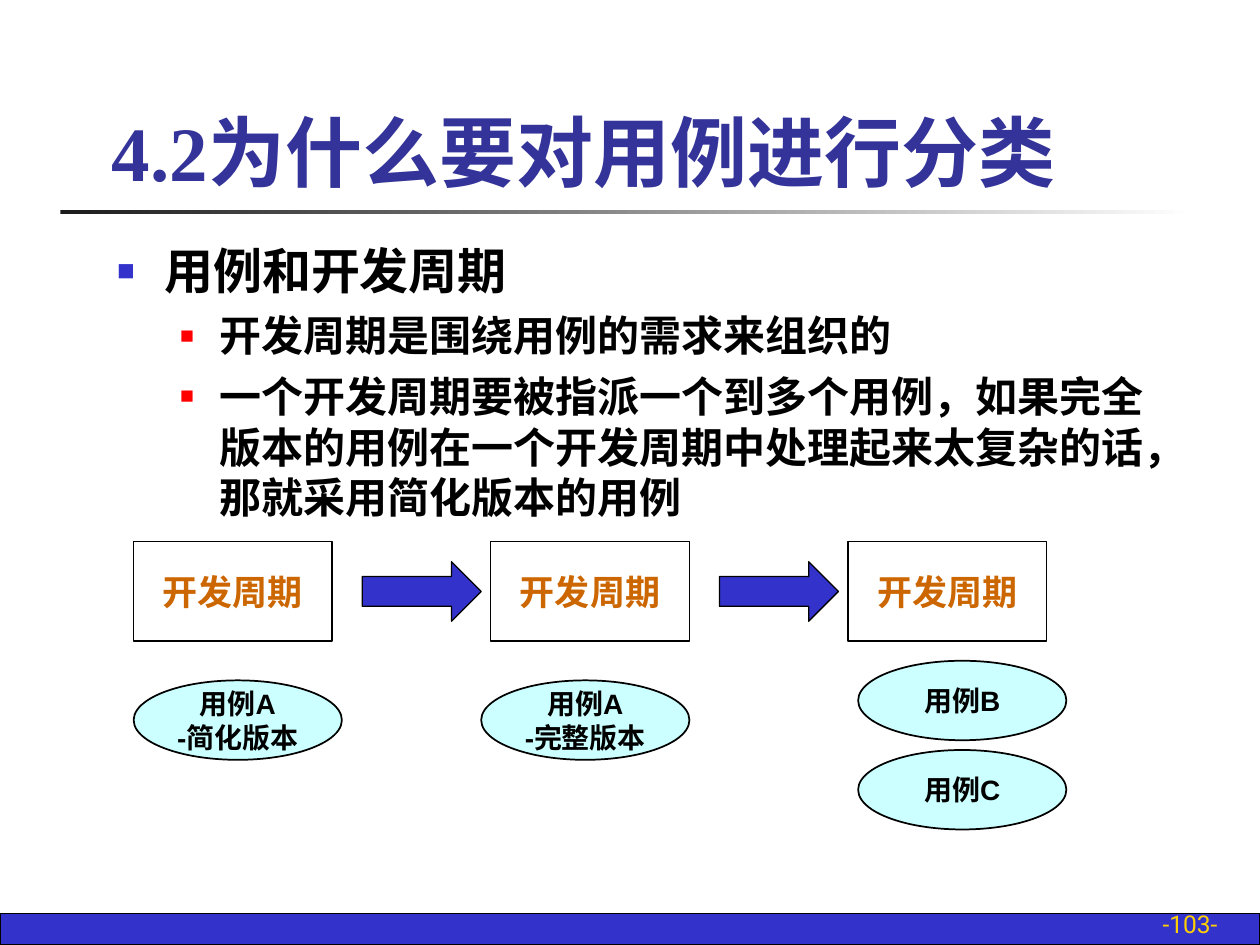
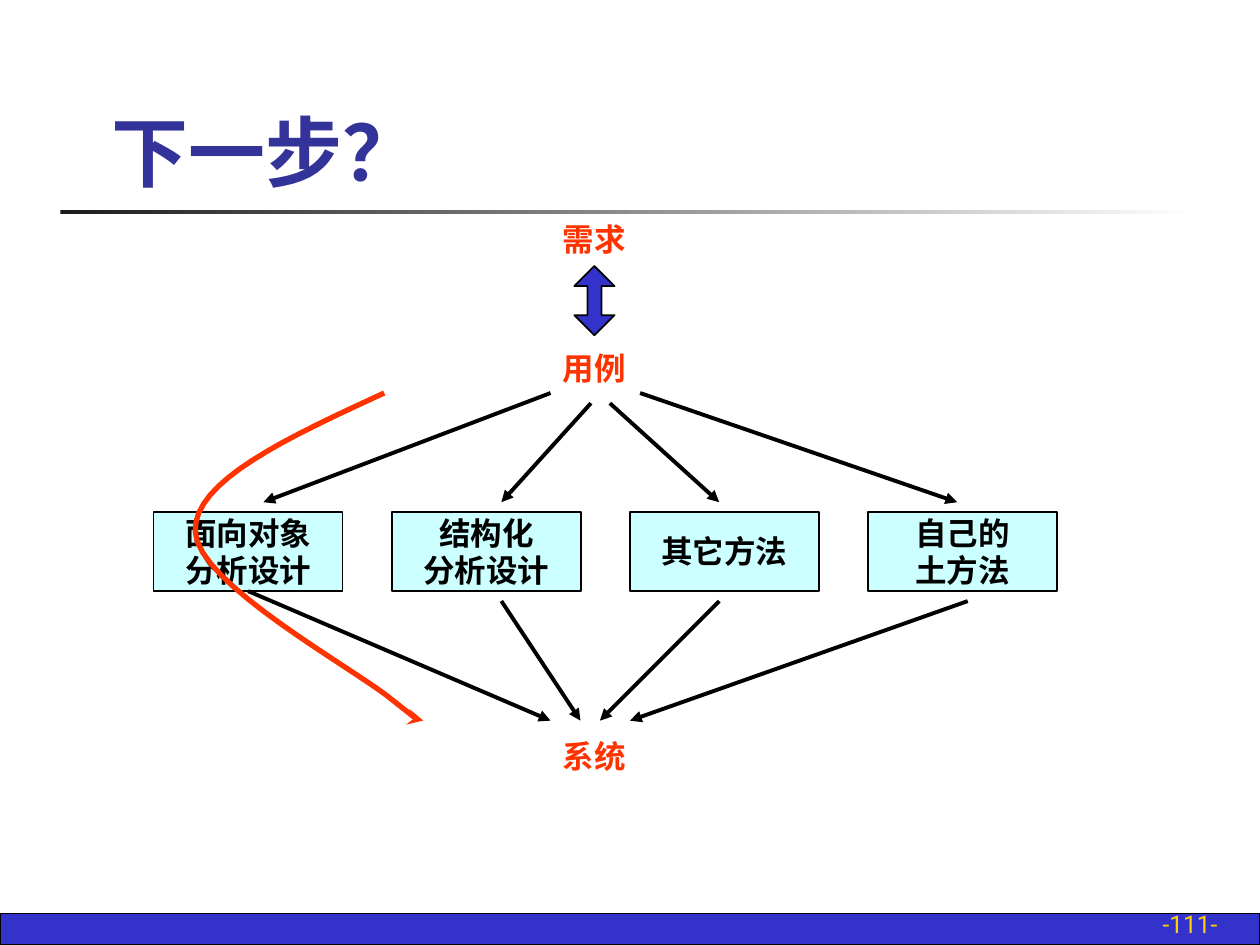
from dataclasses import dataclass

from lxml.etree import SubElement
from pptx import Presentation
from pptx.dml.color import RGBColor
from pptx.enum.lang import MSO_LANGUAGE_ID
from pptx.enum.shapes import MSO_CONNECTOR, MSO_SHAPE
from pptx.enum.text import MSO_ANCHOR, PP_ALIGN
from pptx.oxml.ns import qn
from pptx.util import Pt


@dataclass(frozen=True)
class Theme:
    blue: str = "3333CC"
    title: str = "333399"
    number: str = "FFCF01"
    black: str = "000000"
    white: str = "FFFFFF"
    charcoal: str = "1C1C1C"
    red: str = "FF0000"
    cycle: str = "CC6600"
    pale: str = "CCFFFF"
    accent: str = "FF3300"
    title_size: int = 44
    topic_size: int = 28
    point_size: int = 24
    cycle_size: int = 20
    label_size: int = 18
    case_size: int = 16
    number_size: int = 14


theme = Theme()


def style(name, size, color, bold=True):
    return {"name": name, "size": Pt(size), "bold": bold, "color": color}


def write(shape, lines, look, **frame_format):
    """Write lines into a shape; frame_format holds frame attributes and align."""
    frame = shape.text_frame
    align = frame_format.pop("align", PP_ALIGN.LEFT)
    for key, value in {"word_wrap": True, **frame_format}.items():
        setattr(frame, key, value)
    for index, line in enumerate(lines):
        para = frame.paragraphs[0] if index == 0 else frame.add_paragraph()
        para.alignment = align
        span = para.add_run()
        span.text = line
        span.font.language_id = MSO_LANGUAGE_ID.SIMPLIFIED_CHINESE
        for key, value in look.items():
            if key == "color":
                span.font.color.rgb = RGBColor.from_string(value)
            else:
                setattr(span.font, key, value)


def draw(page, kind, place, fill, width=0.75):
    """Add a preset shape with a black outline."""
    shape = page.shapes.add_shape(kind, *map(Pt, place))
    shape.shadow.inherit = False
    shape.fill.solid()
    shape.fill.fore_color.rgb = RGBColor.from_string(fill)
    shape.line.color.rgb = RGBColor.from_string(theme.black)
    shape.line.width = Pt(width)
    return shape


# Text styles
title_style = style("Times New Roman", theme.title_size, theme.title)
number_style = style("Roboto", theme.number_size, theme.number, False)
topic_style = style("Roboto", theme.topic_size, theme.black)
cycle_style = style("Arial", theme.cycle_size, theme.cycle)
case_style = style("Arial", theme.case_size, theme.black)
method_style = style("Arial", theme.label_size, theme.black)
stage_style = style("Arial", theme.label_size, theme.accent)
centred = {"align": PP_ALIGN.CENTER, "vertical_anchor": MSO_ANCHOR.MIDDLE,
           "word_wrap": False}

deck = Presentation()
deck.slide_width, deck.slide_height = Pt(720), Pt(540)

# Shared frame: footer band, fading rule, page number, title
pages = []
for title, number in [("4.2为什么要对用例进行分类", "-103-"), ("下一步？", "-111-")]:
    page = deck.slides.add_slide(deck.slide_layouts[6])
    pages.append(page)
    draw(page, MSO_SHAPE.RECTANGLE, (0, 522, 720, 18), theme.blue)

    rule = draw(page, MSO_SHAPE.RECTANGLE, (34.5, 120, 648, 2.2), theme.white)
    rule.line.fill.background()
    rule.fill.gradient()
    rule.fill.gradient_angle = 0
    for stop, color in zip(rule.fill.gradient_stops, (theme.charcoal, theme.white)):
        stop.color.rgb = RGBColor.from_string(color)

    box = page.shapes.add_textbox(Pt(553), Pt(516.2), Pt(149.8), Pt(23.8))
    write(box, [number], number_style, align=PP_ALIGN.RIGHT,
          vertical_anchor=MSO_ANCHOR.BOTTOM)
    box = page.shapes.add_textbox(Pt(56.9), Pt(25.9), Pt(613.4), Pt(90))
    write(box, [title], title_style, vertical_anchor=MSO_ANCHOR.BOTTOM)

cycles_page, methods_page = pages

# Slide 1: bulleted text
box = cycles_page.shapes.add_textbox(Pt(59.8), Pt(133.9), Pt(612), Pt(170))
write(box, [
    "用例和开发周期",
    "开发周期是围绕用例的需求来组织的",
    "一个开发周期要被指派一个到多个用例，如果完全版本的用例在一个开发周期中处理起来太复杂的话，那就采用简化版本的用例",
], topic_style)
for index, para in enumerate(box.text_frame.paragraphs):
    if index == 0:
        margin, indent, color, percent = 27, -27, theme.blue, 60
    else:
        margin, indent, color, percent = 58.5, -22.5, theme.red, 55
        para.level = 1
        para.runs[0].font.size = Pt(theme.point_size)
    properties = para._p.get_or_add_pPr()
    properties.set("marL", str(Pt(margin)))
    properties.set("indent", str(Pt(indent)))
    bullet_color = SubElement(properties, qn("a:buClr"))
    SubElement(bullet_color, qn("a:srgbClr"), val=color)
    SubElement(properties, qn("a:buSzPct"), val=str(percent * 1000))
    SubElement(properties, qn("a:buFont"), typeface="Arial")
    SubElement(properties, qn("a:buChar"), char="■")
    if index:
        para.space_before = Pt(6)

# Slide 1: three development cycles with arrows between them
cycle_step = 204.1
for index in range(3):
    offset = index * cycle_step
    cycle = draw(cycles_page, MSO_SHAPE.RECTANGLE,
                 (76.4 + offset, 309.6, 113.4, 56.7), theme.white)
    write(cycle, ["开发周期"], cycle_style, **centred)
    if index < 2:
        draw(cycles_page, MSO_SHAPE.RIGHT_ARROW,
             (207 + offset, 321, 68, 34), theme.blue)

# Slide 1: use cases handled in each cycle
for left, top, lines in [
    (76.4, 388.8, ["用例A", "-简化版本"]),
    (275, 388.8, ["用例A", "-完整版本"]),
    (490.4, 377.6, ["用例B"]),
    (490.4, 428.6, ["用例C"]),
]:
    case = draw(cycles_page, MSO_SHAPE.OVAL, (left, top, 119, 45.4), theme.pale, 1)
    write(case, lines, case_style, **centred)

# Slide 2: stages from requirements to system
for stage, top, width in [("需求", 122.4, 62), ("用例", 195.8, 62), ("系统", 417.6, 57)]:
    box = methods_page.shapes.add_textbox(Pt(314.6), Pt(top), Pt(width), Pt(28.8))
    write(box, [stage], stage_style)
exchange = draw(methods_page, MSO_SHAPE.UP_DOWN_ARROW, (328.2, 152, 23, 39.6),
                theme.blue, 1)
exchange.adjustments[1] = 0.348

# Slide 2: four methods
methods = []
for index, lines in enumerate([
    ["面向对象", "分析设计"], ["结构化", "分析设计"], ["其它方法"], ["自己的", "土方法"],
]):
    method = draw(methods_page, MSO_SHAPE.RECTANGLE,
                  (87.8 + index * 136.1, 292.4, 108, 45.4), theme.pale, 1)
    write(method, lines, method_style, **centred)
    methods.append(method)

# Slide 2: arrows from use cases to methods, then from methods to system
arrows = []
for start_x, start_y, end_x, end_y in [
    (314.6, 224.6, 150.5, 287),
    (337.7, 230.4, 286.5, 287),
    (348.5, 230.4, 411, 287),
    (365.8, 224.6, 547, 287),
    (141.8, 337.8, 314.6, 411.8),
    (286.5, 343.5, 331.7, 411.8),
    (411, 343.5, 342.8, 411.8),
    (553, 343.5, 360, 411.8),
]:
    arrow = methods_page.shapes.add_connector(
        MSO_CONNECTOR.STRAIGHT, Pt(start_x), Pt(start_y), Pt(end_x), Pt(end_y))
    arrow.line.color.rgb = RGBColor.from_string(theme.black)
    arrow.line.width = Pt(2.25)
    SubElement(arrow.line._get_or_add_ln(), qn("a:tailEnd"), type="triangle")
    SubElement(arrow._element.spPr, qn("a:effectLst"))
    arrows.append(arrow)
arrows[4].begin_connect(methods[0], 2)

# Slide 2: curved route through the object-oriented method, as cubic curves
route_start = (219.6, 224.6)
curves = [
    ((165, 249.8), (110.2, 275), (111.6, 303.8)),
    ((112.4, 333.4), (203, 382.3), (224.6, 400.3)),
    ((247, 418.3), (244, 414.7), (241.9, 411.8)),
]
steps = 16
route_points = []
start = route_start
for first, second, end in curves:
    for step in range(1, steps + 1):
        t = step / steps
        route_points.append(tuple(
            Pt((1 - t) ** 3 * a + 3 * t * (1 - t) ** 2 * b
               + 3 * t ** 2 * (1 - t) * c + t ** 3 * d)
            for a, b, c, d in zip(start, first, second, end)))
    start = end
builder = methods_page.shapes.build_freeform(*map(Pt, route_start))
builder.add_line_segments(route_points, close=False)
route = builder.convert_to_shape()
route.shadow.inherit = False
route.fill.background()
route.line.color.rgb = RGBColor.from_string(theme.accent)
route.line.width = Pt(3)
SubElement(route.line._get_or_add_ln(), qn("a:tailEnd"), type="stealth")

deck.save("out.pptx")
